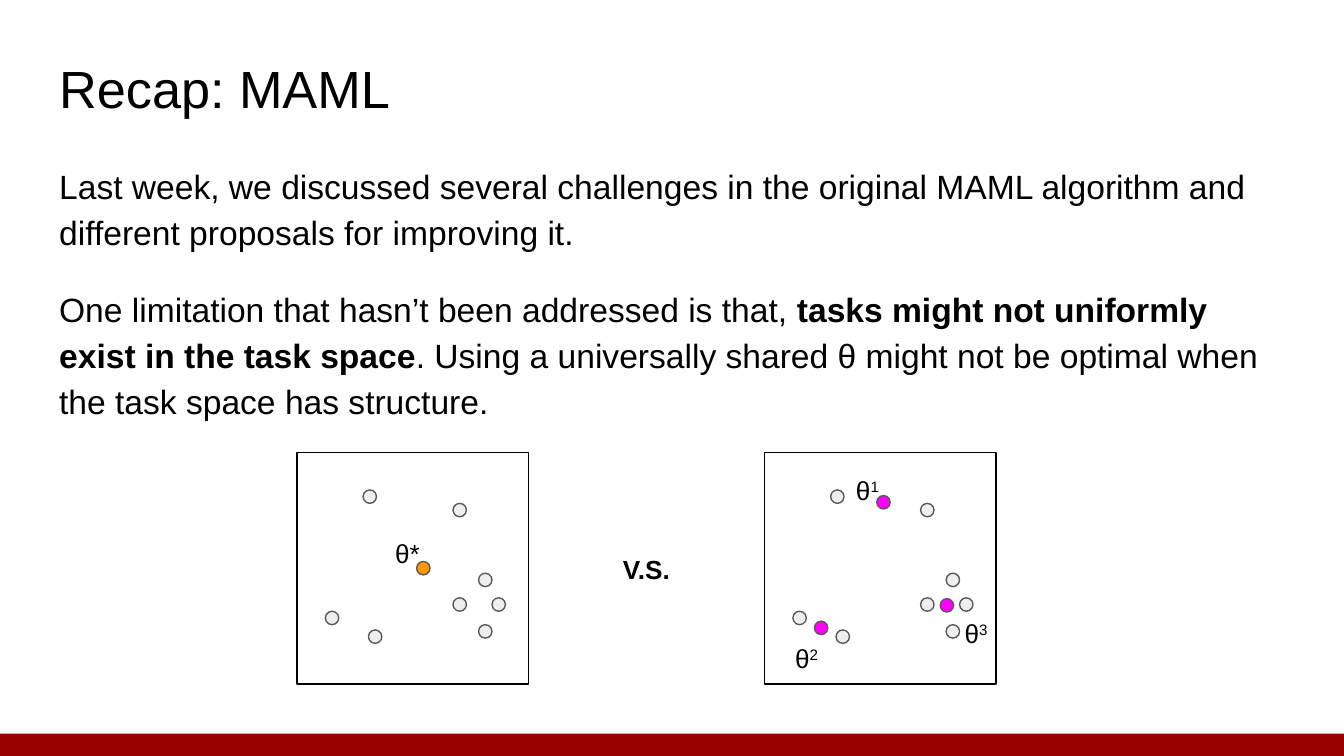
import pptx
import pptx.dml.color
import pptx.enum.shapes
import pptx.enum.text
import pptx.util

Pt = pptx.util.Pt
SHAPE = pptx.enum.shapes.MSO_SHAPE
ALIGN = pptx.enum.text.PP_ALIGN

COLORS = {
    "text": "000000",
    "footer": "990000",
    "task": "EEEEEE",
    "outline": "595959",
    "shared": "FF9900",
    "cluster": "FF00FF",
}
FONT = "Arial"
DOT = 7.2
TASKS = [(35.3, 20), (15.1, 85), (38.2, 95), (83.5, 77.8),
         (97.2, 64.6), (104.4, 77.8), (83.5, 27.2), (97.2, 92.2)]


def rgb(name):
    """Return the named colour."""
    return pptx.dml.color.RGBColor.from_string(COLORS[name])


def add_text(tf, runs, size=18, align=ALIGN.LEFT, spacing=1.0, before=0, after=0, first=True):
    """Write one paragraph of (text, style) runs, where style is '', 'bold' or 'super'."""
    p = tf.paragraphs[0] if first else tf.add_paragraph()
    p.alignment, p.line_spacing = align, spacing
    p.space_before, p.space_after = Pt(before), Pt(after)
    for text, style in runs:
        r = p.add_run()
        r.text = text
        r.font.name, r.font.size, r.font.bold = FONT, Pt(size), style == "bold"
        r.font.color.rgb = rgb("text")
        if style == "super":
            r.font._element.set("baseline", "30000")
    return p


def set_frame(sp):
    """Give a text shape its margins, wrapping and top anchor."""
    tf = sp.text_frame
    tf.margin_left = tf.margin_right = tf.margin_top = tf.margin_bottom = Pt(7.2)
    tf.auto_size = pptx.enum.text.MSO_AUTO_SIZE.NONE
    tf.word_wrap = True
    tf.vertical_anchor = pptx.enum.text.MSO_ANCHOR.TOP
    return tf


def place(sp, x, y, w, h):
    """Move and resize a placeholder."""
    sp.left, sp.top, sp.width, sp.height = Pt(x), Pt(y), Pt(w), Pt(h)
    return set_frame(sp)


def add_box(shapes, kind, x, y, w, h, fill=None, line=None):
    """Draw a preset shape with an optional fill and line."""
    sp = shapes.add_shape(kind, Pt(x), Pt(y), Pt(w), Pt(h))
    sp.shadow.inherit = False
    if fill:
        sp.fill.solid()
        sp.fill.fore_color.rgb = rgb(fill)
    else:
        sp.fill.background()
    if line:
        sp.line.color.rgb = rgb(line)
        sp.line.width = Pt(0.75)
    else:
        sp.line.fill.background()


def add_label(shapes, x, y, w, h, runs, **fmt):
    """Add a text box holding one line."""
    tf = set_frame(shapes.add_textbox(Pt(x), Pt(y), Pt(w), Pt(h)))
    add_text(tf, runs, size=14, **fmt)


def add_task_space(slide, x, y, side, color, centers, labels):
    """Draw a task space with its tasks, parameter points and labels."""
    shapes = slide.shapes.add_group_shape().shapes
    add_box(shapes, SHAPE.RECTANGLE, x, y, side, side, line="text")
    dots = [(dot, "task") for dot in TASKS] + [(dot, color) for dot in centers]
    for (dx, dy), fill in dots:
        add_box(shapes, SHAPE.OVAL, x + dx, y + dy, DOT, DOT, fill, "outline")
    for dx, dy, mark, style in labels:
        add_label(shapes, x + dx, y + dy, 31, 21, [("θ", ""), (mark, style)])


def add_title(slide, x, y, w, h):
    """Fill the title placeholder."""
    tf = place(slide.shapes.title, x, y, w, h)
    add_text(tf, [("Recap: MAML", "")], size=28)


def add_body(slide, x, y, w, h):
    """Fill the body placeholder with two unbulleted paragraphs."""
    tf = place(slide.placeholders[1], x, y, w, h)
    paragraphs = [
        ([("Last week, we discussed several challenges in the original MAML algorithm "
           "and different proposals for improving it.", "")], 0),
        ([("One limitation that hasn’t been addressed is that, ", ""),
          ("tasks might not uniformly exist in the task space", "bold"),
          (". Using a universally shared θ might not be optimal when "
           "the task space has structure.", "")], 16),
    ]
    for i, (runs, gap) in enumerate(paragraphs):
        p = add_text(tf, runs, spacing=1.15, before=gap, after=gap, first=i == 0)
        pPr = p._p.get_or_add_pPr()
        pPr.set("marL", "0")
        pPr.set("indent", "0")
        pPr.append(pPr.makeelement(pptx.oxml.ns.qn("a:buNone"), {}))


def main():
    """Build and save the slide."""
    prs = pptx.Presentation()
    prs.slide_width, prs.slide_height = Pt(720), Pt(405)
    slide = prs.slides.add_slide(prs.slide_layouts[1])
    add_box(slide.shapes, SHAPE.RECTANGLE, 0, 393, 720, 12, fill="footer")
    add_title(slide, 24.5, 23, 671, 45)
    add_body(slide, 24.5, 78.5, 671, 151)
    add_task_space(slide, 159.2, 242.5, 124, "shared",
                   [(64, 58.3)], [(45.4, 38.2, "*", "")])
    add_label(slide.shapes, 301, 289.5, 90.5, 29, [("V.S.", "bold")], align=ALIGN.CENTER)
    add_task_space(slide, 409.7, 242.5, 124, "cluster",
                   [(60, 23), (26.6, 90.3), (94, 78.2)],
                   [(41.8, 4.3, "1", "super"), (9.2, 94.5, "2", "super"),
                    (100, 81.2, "3", "super")])
    prs.save("out.pptx")


if __name__ == "__main__":
    main()
